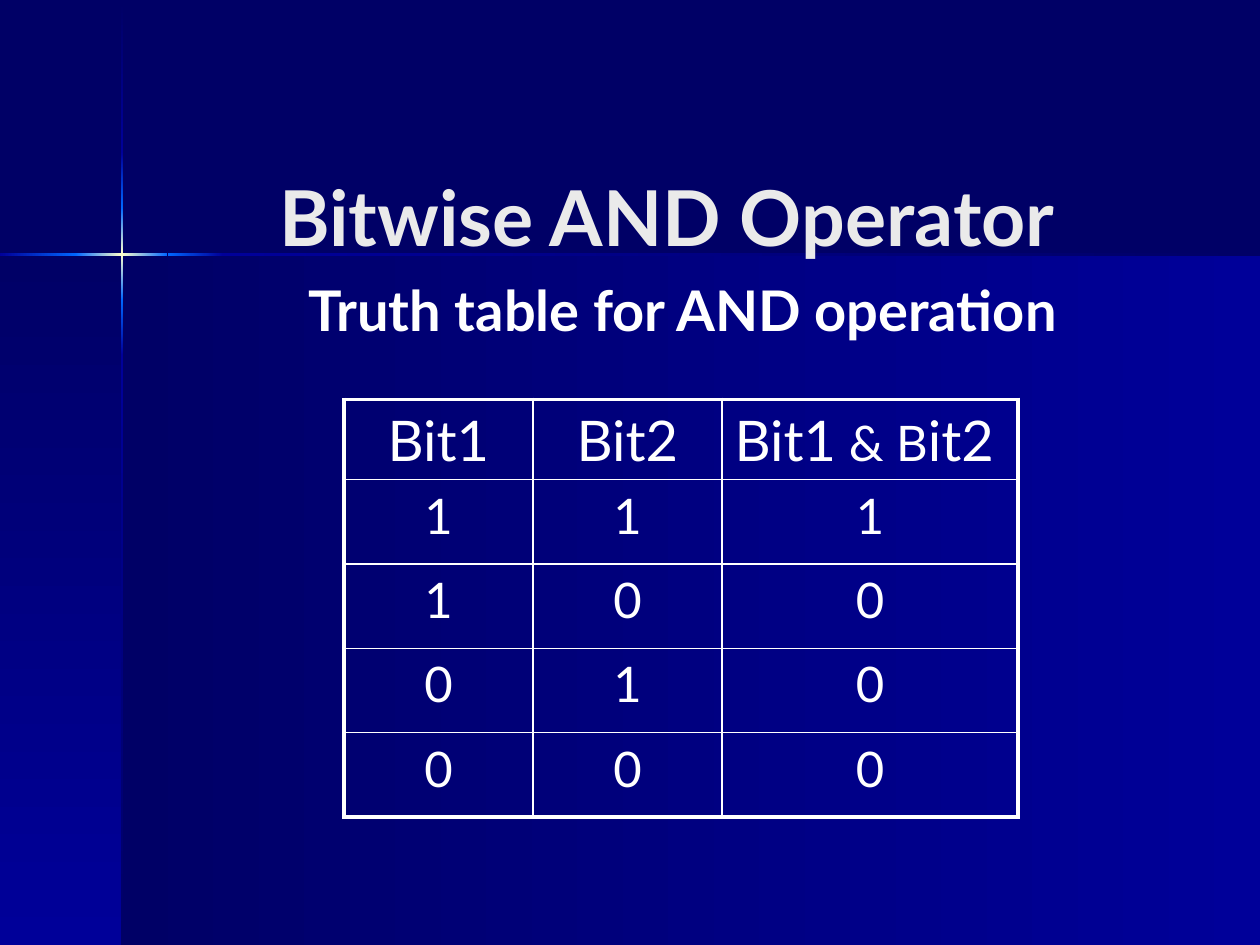
from dataclasses import dataclass

import pptx
import pptx.dml.color
import pptx.enum.shapes
import pptx.enum.text
import pptx.oxml
import pptx.oxml.ns
import pptx.util
from pptx.util import Inches

ALIGN = pptx.enum.text.PP_ALIGN


@dataclass(frozen=True)
class Theme:
    font: str = "Lato"
    night: str = "000066"
    navy: str = "000099"
    blue: str = "0066FF"
    glow: str = "FFFFCC"
    title: str = "EAEAEA"
    text: str = "FFFFFF"
    title_size: int = 44
    large: int = 32
    medium: int = 28
    outer_line: float = 2.25
    inner_line: float = 1


@dataclass(frozen=True)
class Band:
    left: float
    top: float
    width: float
    height: float
    colors: tuple[str, ...]
    angle: int


@dataclass(frozen=True)
class Run:
    text: str
    size: int


THEME = Theme()
DOWN, ACROSS = 90, 0
BEAM = 0.02
BEAM_X, BEAM_Y = 0.96, 2.01
PANEL_X, PANEL_Y = 0.97, 2.02

DARK_TO_NAVY = (THEME.night, THEME.navy)
NAVY_TO_DARK = (THEME.navy, THEME.night)
NAVY_TO_BLUE = (THEME.navy, THEME.blue)
BLUE_TO_NAVY = (THEME.blue, THEME.navy)
FLARE = (THEME.blue, THEME.glow, THEME.blue)

PANELS = [
    Band(PANEL_X, PANEL_Y, 9.03, 5.48, DARK_TO_NAVY, ACROSS),
    Band(0, PANEL_Y, PANEL_X, 5.48, DARK_TO_NAVY, DOWN),
]
# Each beam segment: start, length, colours
VERTICAL_BEAM = [
    (0.01, 1.2, DARK_TO_NAVY),
    (2.82, 4.68, NAVY_TO_DARK),
    (2.38, 0.44, BLUE_TO_NAVY),
    (1.21, 0.44, NAVY_TO_BLUE),
    (1.65, 0.73, FLARE),
]
HORIZONTAL_BEAM = [
    (1.77, 8.23, NAVY_TO_DARK),
    (0, 0.61, NAVY_TO_BLUE),
    (1.33, 0.44, BLUE_TO_NAVY),
    (0.6, 0.73, FLARE),
]
BANDS = (
    PANELS
    + [Band(BEAM_X, start, BEAM, length, colors, DOWN) for start, length, colors in VERTICAL_BEAM]
    + [Band(start, BEAM_Y, length, BEAM, colors, ACROSS) for start, length, colors in HORIZONTAL_BEAM]
)

HEADER = [
    [Run("Bit1", THEME.large)],
    [Run("Bit2", THEME.large)],
    [Run("Bit1", THEME.large), Run(" & B", THEME.medium), Run("it2", THEME.large)],
]
TRUTH = [[Run(str(bit), THEME.medium)] for a in (1, 0) for b in (1, 0) for bit in (a, b, a & b)]
COLUMNS = [1.5, 1.5, 2.35]
ROWS = [0.63] + [0.67] * 4


def draw_band(slide, band: Band) -> None:
    sp = slide.shapes.add_shape(
        pptx.enum.shapes.MSO_SHAPE.RECTANGLE,
        Inches(band.left), Inches(band.top), Inches(band.width), Inches(band.height),
    )
    sp.shadow.inherit = False
    sp.line.fill.background()
    last = len(band.colors) - 1
    stops = "".join(
        f'<a:gs pos="{100000 * i // last}"><a:srgbClr val="{color}"/></a:gs>'
        for i, color in enumerate(band.colors)
    )
    gradient = pptx.oxml.parse_xml(
        f'<a:gradFill {pptx.oxml.ns.nsdecls("a")}><a:gsLst>{stops}</a:gsLst>'
        f'<a:lin ang="{band.angle * 60000}" scaled="0"/></a:gradFill>'
    )
    sp.element.spPr.find(pptx.oxml.ns.qn("a:prstGeom")).addnext(gradient)


def add_run(p, run: Run, color: str, bold: bool = False) -> None:
    r = p.add_run()
    r.text = run.text
    r.font.name = THEME.font
    r.font.size = pptx.util.Pt(run.size)
    r.font.bold = bold
    r.font.color.rgb = pptx.dml.color.RGBColor.from_string(color)


def fill_placeholder(sp, box: tuple[float, ...], run: Run, color: str) -> None:
    """Place the placeholder above the background bands and write one centred, bold line."""
    sp.left, sp.top, sp.width, sp.height = map(Inches, box)
    sp.element.getparent().append(sp.element)
    p = sp.text_frame.paragraphs[0]
    pPr = p._p.get_or_add_pPr()
    pPr.set("marL", "0")
    pPr.set("indent", "0")
    pPr.append(pptx.oxml.parse_xml(f'<a:buNone {pptx.oxml.ns.nsdecls("a")}/>'))
    p.alignment = ALIGN.CENTER
    p.space_before = pptx.util.Pt(0)
    add_run(p, run, color, bold=True)


def set_borders(cell, outer: dict[str, bool]) -> None:
    """Draw the four sides, heavier where the side lies on the table's edge."""
    tcPr = cell._tc.get_or_add_tcPr()
    for side, is_outer in outer.items():
        width = pptx.util.Pt(THEME.outer_line if is_outer else THEME.inner_line)
        tcPr.append(pptx.oxml.parse_xml(
            f'<a:ln{side} {pptx.oxml.ns.nsdecls("a")} w="{width}"><a:solidFill>'
            f'<a:srgbClr val="{THEME.text}"/></a:solidFill></a:ln{side}>'
        ))


def draw_truth_table(slide) -> None:
    table = slide.shapes.add_table(
        len(ROWS), len(COLUMNS), Inches(2.73), Inches(3.17),
        Inches(sum(COLUMNS)), Inches(sum(ROWS)),
    ).table
    table.first_row = table.horz_banding = False
    for column, width in zip(table.columns, COLUMNS):
        column.width = Inches(width)
    for row, height in zip(table.rows, ROWS):
        row.height = Inches(height)
    last_row, last_col = len(ROWS) - 1, len(COLUMNS) - 1
    for i, (cell, runs) in enumerate(zip(table.iter_cells(), HEADER + TRUTH)):
        row, col = divmod(i, len(COLUMNS))
        set_borders(cell, {"L": col == 0, "R": col == last_col, "T": row == 0, "B": row == last_row})
        cell.fill.background()
        p = cell.text_frame.paragraphs[0]
        p.alignment = ALIGN.LEFT if len(runs) > 1 else ALIGN.CENTER
        for run in runs:
            add_run(p, run, THEME.text)


def main() -> None:
    prs = pptx.Presentation()
    prs.slide_width, prs.slide_height = Inches(10), Inches(7.5)
    slide = prs.slides.add_slide(prs.slide_layouts[1])
    fill = slide.background.fill
    fill.solid()
    fill.fore_color.rgb = pptx.dml.color.RGBColor.from_string(THEME.night)
    for band in BANDS:
        draw_band(slide, band)
    title, body = slide.shapes.title, slide.placeholders[1]
    fill_placeholder(title, (1.17, 0.93, 8.25, 1.57),
                     Run("Bitwise AND Operator", THEME.title_size), THEME.title)
    fill_placeholder(body, (0.92, 2.14, 9, 4.61),
                     Run("Truth table for AND operation", THEME.large), THEME.text)
    draw_truth_table(slide)
    prs.save("out.pptx")


if __name__ == "__main__":
    main()
